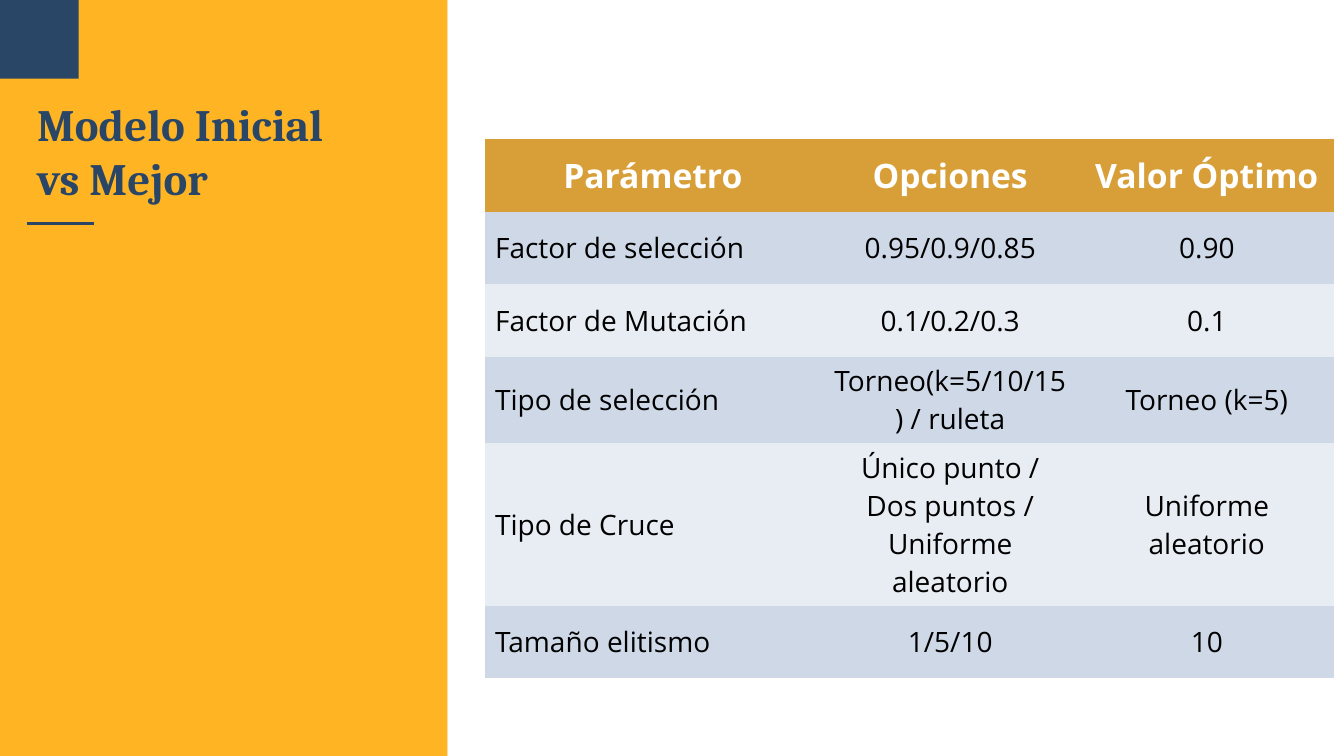
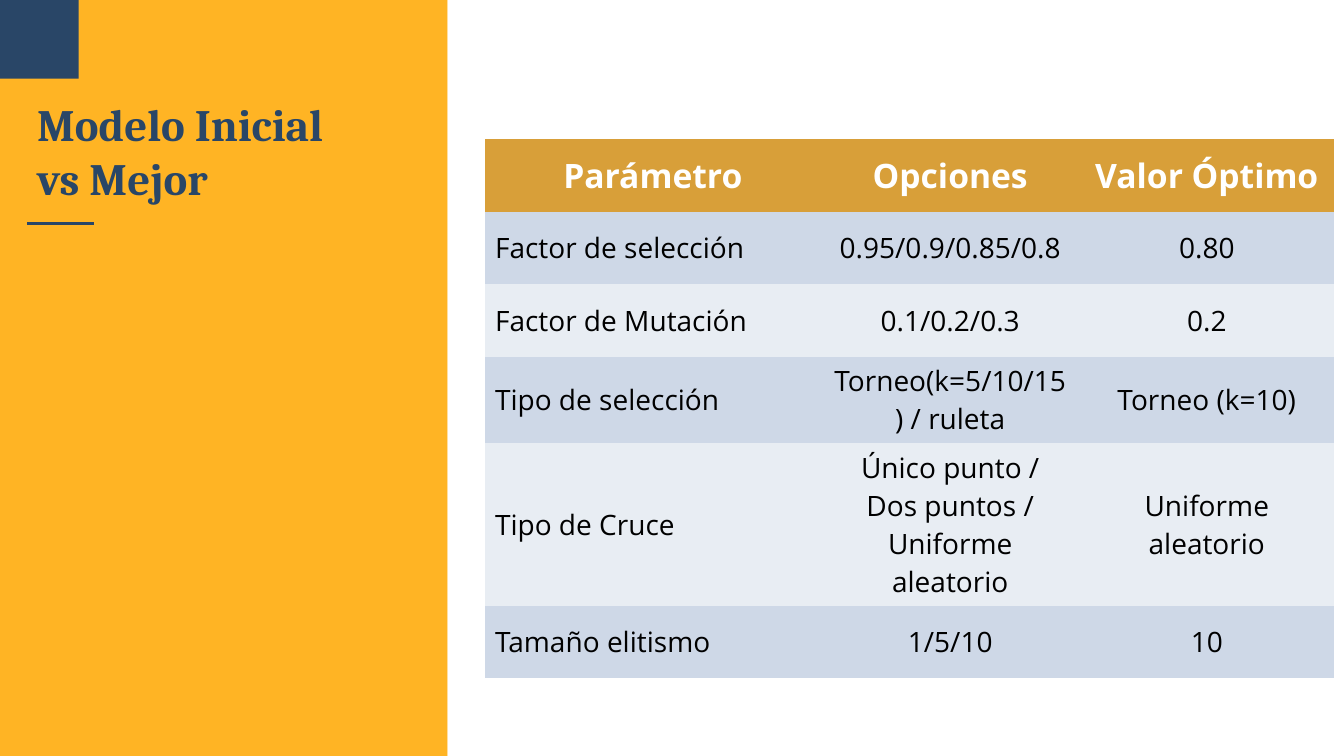
from pptx import Presentation
from pptx.dml.color import RGBColor
from pptx.enum.shapes import MSO_CONNECTOR, MSO_SHAPE
from pptx.enum.text import MSO_ANCHOR, PP_ALIGN
from pptx.oxml.ns import qn
from pptx.util import Inches, Pt
from lxml import etree

RECTANGLE = MSO_SHAPE.RECTANGLE
STRAIGHT = MSO_CONNECTOR.STRAIGHT
LEFT, CENTER = PP_ALIGN.LEFT, PP_ALIGN.CENTER
BOTTOM, MIDDLE = MSO_ANCHOR.BOTTOM, MSO_ANCHOR.MIDDLE

AMBER, NAVY = "FFA800", "294667"
WHITE, BLACK = "FFFFFF", "000000"
HEADER_FILL = "D89F39"
BAND_FILLS = ["CED8E7", "E8EDF3"]
NO_GRID_STYLE = "{2D5ABB26-0587-4C30-8999-92F81FD0307C}"

TITLE = "Modelo Inicial\vvs Mejor"
HEADER = ["Parámetro", "Opciones", "Valor Óptimo"]
COLUMN_WIDTHS = [3.33, 2.57, 2.52]
# The selection and crossover rows hold two and four lines of text
ROW_HEIGHTS = [0.72, 0.72, 0.72, 0.86, 1.61, 0.72]
PARAMETERS = [
    "Factor de selección",
    "Factor de Mutación",
    "Tipo de selección",
    "Tipo de Cruce",
    "Tamaño elitismo",
]
SHARED_OPTIONS = [
    "0.1/0.2/0.3",
    "Torneo(k=5/10/15) / ruleta",
    "Único punto /\nDos puntos / Uniforme aleatorio",
    "1/5/10",
]
# Selection factors tried, then the best value of each parameter
EXPERIMENTS = [
    ("0.95/0.9/0.85", ["0.90", "0.1", "Torneo (k=5)", "Uniforme aleatorio", "10"]),
    ("0.95/0.9/0.85/0.8", ["0.80", "0.2", "Torneo (k=10)", "Uniforme aleatorio", "10"]),
]


def rgb(hex_color):
    return RGBColor.from_string(hex_color)


def write(frame, text, font="Open Sans", size=20, color=BLACK, bold=False, align=LEFT):
    """Fill a text frame; a line feed starts a paragraph, a vertical tab a line."""
    frame.word_wrap = True
    frame.text = text
    for paragraph in frame.paragraphs:
        paragraph.alignment = align
        for run in paragraph.runs:
            run.font.name = font
            run.font.size = Pt(size)
            run.font.bold = bold
            run.font.color.rgb = rgb(color)


prs = Presentation()
prs.slide_width, prs.slide_height = Inches(13.33), Inches(7.5)
blank = prs.slide_layouts[6]

for selection_factors, best_values in EXPERIMENTS:
    slide = prs.slides.add_slide(blank)
    shapes = slide.shapes

    # Side panel, content area and corner square
    for left, width, height, fill, opacity in [
        (0, 4.44, 7.5, AMBER, 86),
        (4.44, 8.89, 7.5, WHITE, 100),
        (0, 0.78, 0.78, NAVY, 100),
    ]:
        block = shapes.add_shape(RECTANGLE, Inches(left), 0, Inches(width), Inches(height))
        block.shadow.inherit = False
        block.line.fill.background()
        block.fill.solid()
        block.fill.fore_color.rgb = rgb(fill)
        if opacity < 100:
            color = block._element.spPr.find(".//" + qn("a:srgbClr"))
            etree.SubElement(color, qn("a:alpha"), val=str(opacity * 1000))

    # Title and its rule
    rule = shapes.add_connector(STRAIGHT, Inches(0.27), Inches(2.22), Inches(0.93), Inches(2.22))
    rule.line.color.rgb = rgb(NAVY)
    rule.line.width = Pt(2.25)
    etree.SubElement(rule._element.spPr, qn("a:effectLst"))

    title = shapes.add_textbox(Inches(0.27), Inches(1.15), Inches(3.97), Inches(0.98)).text_frame
    title.margin_left = title.margin_right = Inches(0.1)
    title.margin_top = title.margin_bottom = Inches(0.1)
    title.vertical_anchor = BOTTOM
    write(title, TITLE, font="Cambria", size=32, color=NAVY, bold=True)

    # Parameter table
    rows = [HEADER, *zip(PARAMETERS, [selection_factors, *SHARED_OPTIONS], best_values)]
    table_frame = shapes.add_table(
        len(rows), len(HEADER), Inches(4.81), Inches(1.38),
        Inches(sum(COLUMN_WIDTHS)), Inches(sum(ROW_HEIGHTS)),
    )
    table_frame._element.find(".//" + qn("a:tableStyleId")).text = NO_GRID_STYLE
    table = table_frame.table
    for column, width in zip(table.columns, COLUMN_WIDTHS):
        column.width = Inches(width)

    for row_index, (row, height) in enumerate(zip(rows, ROW_HEIGHTS)):
        table.rows[row_index].height = Inches(height)
        is_header = row_index == 0
        for column_index, text in enumerate(row):
            cell = table.cell(row_index, column_index)
            cell.vertical_anchor = MIDDLE
            cell.fill.solid()
            cell.fill.fore_color.rgb = rgb(HEADER_FILL if is_header else BAND_FILLS[(row_index - 1) % 2])
            if is_header:
                write(cell.text_frame, text, size=24, color=WHITE, bold=True, align=CENTER)
            else:
                write(cell.text_frame, text, align=CENTER if column_index else LEFT)

prs.save("out.pptx")
